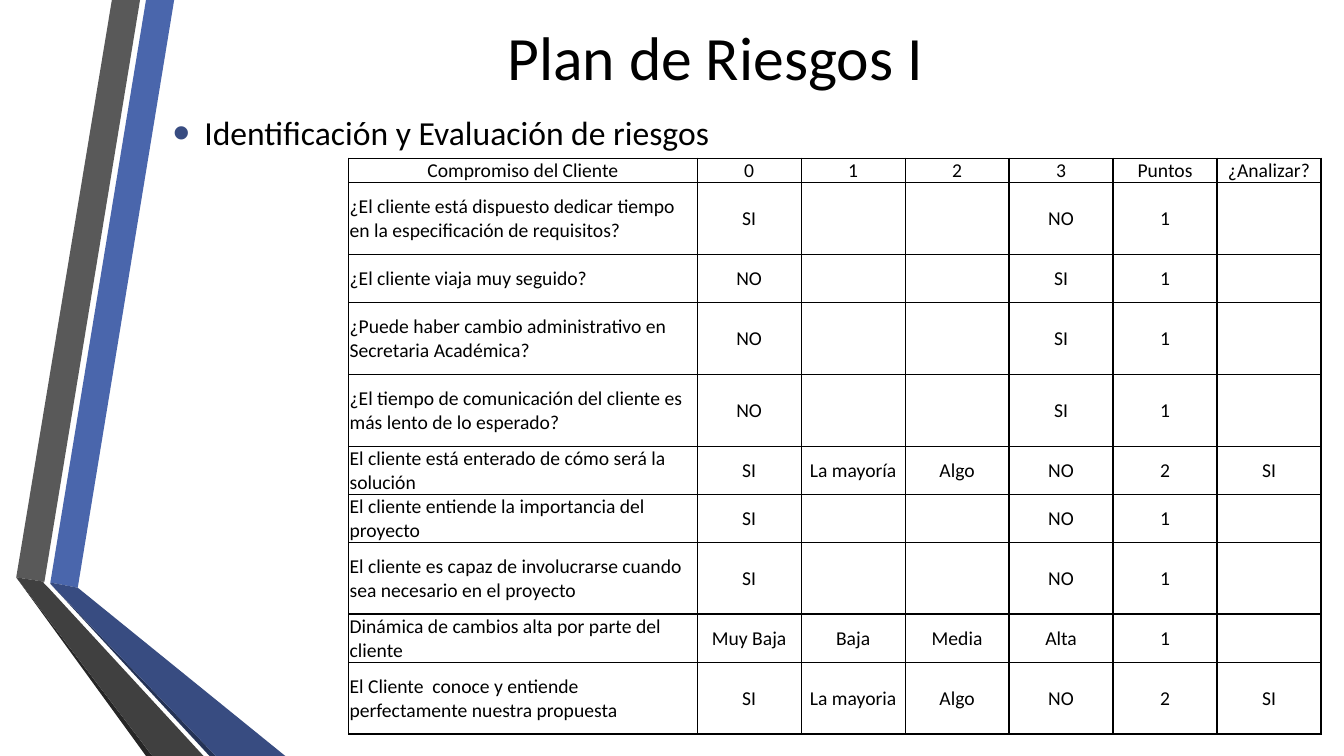
from dataclasses import dataclass

from lxml.etree import SubElement
from pptx import Presentation
from pptx.dml.color import RGBColor as Rgb
from pptx.enum.text import MSO_ANCHOR as Anchor, PP_ALIGN as Align
from pptx.oxml.ns import qn
from pptx.util import Cm, Pt


@dataclass(frozen=True)
class Theme:
    font: str = "Calibri"
    ink: str = "000000"
    paper: str = "FFFFFF"
    blue: str = "4A66AC"
    blue_fold: str = "384C81"
    blue_edge: str = "253356"
    gray: str = "595959"
    gray_fold: str = "404040"
    gray_edge: str = "262626"
    title_size: int = 44
    topic_size: int = 24
    table_size: int = 14
    border_width: int = 1


theme = Theme()


def add_run(paragraph, text, size):
    run = paragraph.add_run()
    run.text = text
    run.font.name = theme.font
    run.font.size = Pt(size)
    run.font.color.rgb = Rgb.from_string(theme.ink)


def add_border(cell_properties, side):
    line = SubElement(cell_properties, qn(f"a:{side}"), w=str(Pt(theme.border_width)))
    fill = SubElement(line, qn("a:solidFill"))
    SubElement(fill, qn("a:srgbClr"), val=theme.ink)


deck = Presentation()
deck.slide_width, deck.slide_height = Cm(33.87), Cm(19.05)
slide = deck.slides.add_slide(deck.slide_layouts[6])
slide.background.fill.solid()
slide.background.fill.fore_color.rgb = Rgb.from_string(theme.paper)

bottom = 19.05
ribbons = [
    (theme.blue, [(1.27, 14.68), (1.96, 14.81), (4.39, 0), (3.68, 0)]),
    (theme.gray, [(3.53, 0), (2.82, 0), (0.41, 14.55), (1.12, 14.66)]),
    (theme.gray_edge, [(0.41, 14.55), (3.68, bottom), (3.84, bottom)]),
    (theme.blue_edge, [(1.27, 14.71), (5.28, bottom), (5.44, bottom)]),
    (theme.blue_fold, [(1.27, 14.71), (5.44, bottom), (7.19, bottom),
                       (1.96, 14.81), (1.27, 14.68)]),
    (theme.gray_fold, [(5.13, bottom), (1.22, 14.81), (1.09, 14.68),
                       (1.12, 14.66), (0.41, 14.55), (3.84, bottom)]),
]
for color, corners in ribbons:
    points = [(Cm(x), Cm(y)) for x, y in corners]
    outline = slide.shapes.build_freeform(*points[0])
    outline.add_line_segments(points[1:], close=True)
    ribbon = outline.convert_to_shape()
    ribbon.shadow.inherit = False
    ribbon.fill.solid()
    ribbon.fill.fore_color.rgb = Rgb.from_string(color)
    ribbon.line.fill.background()

title = slide.shapes.add_textbox(Cm(4.11), Cm(-0.74), Cm(27.84), Cm(4.32)).text_frame
title.word_wrap = True
title.vertical_anchor = Anchor.MIDDLE
title.paragraphs[0].alignment = Align.CENTER
add_run(title.paragraphs[0], "Plan de Riesgos I", theme.title_size)

topic = slide.shapes.add_textbox(Cm(4.11), Cm(2.31), Cm(27.84), Cm(3.2)).text_frame
topic.word_wrap = True
topic.margin_top = Cm(0.52)
topic_line = topic.paragraphs[0]
topic_line.space_after = Pt(6)
add_run(topic_line, "Identificación y Evaluación de riesgos", theme.topic_size)
bullet = topic_line._p.get_or_add_pPr()
bullet.set("marL", str(Cm(0.79)))
bullet.set("indent", str(-Cm(0.79)))
SubElement(SubElement(bullet, qn("a:buClr")), qn("a:srgbClr"), val=theme.blue_fold)
SubElement(bullet, qn("a:buSzPct"), val="145000")
SubElement(bullet, qn("a:buFont"), typeface="Arial")
SubElement(bullet, qn("a:buChar"), char="•")

header, short, tall = 0.6, 1.21, 1.81
risks = [
    (header, "Compromiso del Cliente", "0", "1", "2", "3", "Puntos", "¿Analizar?"),
    (tall, "¿El cliente está dispuesto dedicar tiempo en la especificación de requisitos?",
     "SI", "", "", "NO", "1", ""),
    (short, "¿El cliente viaja muy seguido?", "NO", "", "", "SI", "1", ""),
    (tall, "¿Puede haber cambio administrativo en Secretaria Académica?",
     "NO", "", "", "SI", "1", ""),
    (tall, "¿El tiempo de comunicación del cliente es más lento de lo esperado?",
     "NO", "", "", "SI", "1", ""),
    (short, "El cliente está enterado de cómo será la solución",
     "SI", "La mayoría", "Algo", "NO", "2", "SI"),
    (short, "El cliente entiende la importancia del proyecto",
     "SI", "", "", "NO", "1", ""),
    (tall, "El cliente es capaz de involucrarse cuando sea necesario en el proyecto",
     "SI", "", "", "NO", "1", ""),
    (short, "Dinámica de cambios alta por parte del cliente",
     "Muy Baja", "Baja", "Media", "Alta", "1", ""),
    (tall, "El Cliente  conoce y entiende perfectamente nuestra propuesta",
     "SI", "La mayoria", "Algo", "NO", "2", "SI"),
]
widths = [8.78] + [2.62] * 6
risk_table = slide.shapes.add_table(
    len(risks), len(widths), Cm(8.79), Cm(3.99),
    Cm(sum(widths)), Cm(sum(risk[0] for risk in risks))).table
risk_table.first_row = False
risk_table.horz_banding = False
for column, width in zip(risk_table.columns, widths):
    column.width = Cm(width)

for row, (height, *answers) in enumerate(risks):
    risk_table.rows[row].height = Cm(height)
    for col, answer in enumerate(answers):
        cell = risk_table.cell(row, col)
        cell.margin_left = cell.margin_right = cell.margin_top = Cm(0.02)
        cell.margin_bottom = 0
        cell.vertical_anchor = Anchor.MIDDLE
        for side in ("lnL", "lnR", "lnT", "lnB"):
            add_border(cell._tc.get_or_add_tcPr(), side)
        cell.fill.solid()
        cell.fill.fore_color.rgb = Rgb.from_string(theme.paper)
        if answer:
            entry = cell.text_frame.paragraphs[0]
            entry.alignment = Align.LEFT if row and not col else Align.CENTER
            add_run(entry, answer, theme.table_size)

deck.save("out.pptx")
